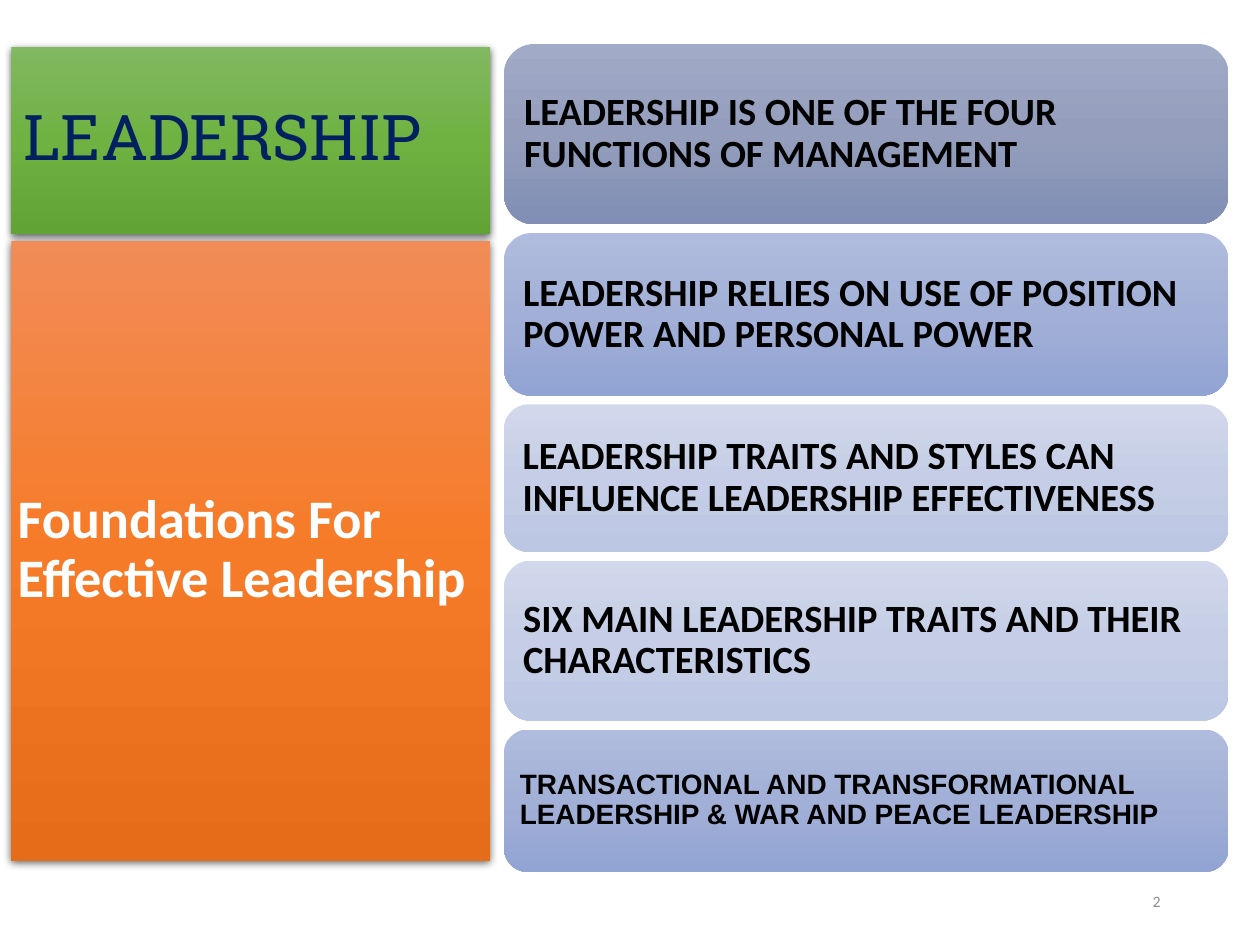
from pptx import Presentation
from pptx.dml.color import RGBColor
from pptx.enum.shapes import MSO_SHAPE
from pptx.enum.text import MSO_ANCHOR, PP_ALIGN
from pptx.oxml import parse_xml
from pptx.oxml.ns import nsdecls
from pptx.util import Inches, Pt

# Content
TITLE = "LEADERSHIP"
THEME = "Foundations For Effective Leadership"
NUMBER = "2"
GREEN = ("81B861", "6FB242", "62A336")
ORANGE = ("F18C57", "F67B28", "E56C19")
SLATE = ("A1AAC7", "949EBC", "818EB5")
BLUE = ("B0BCDD", "A2B0D7", "92A4D4")
PALE = ("D2D8EC", "C5CEE6", "BCC7E4")
# text, height, gradient, font, size, inset
CARDS = [
    ("LEADERSHIP IS ONE OF THE FOUR FUNCTIONS OF MANAGEMENT",
     1.43, SLATE, "Calibri", 22, 0.09),
    ("LEADERSHIP RELIES ON USE OF POSITION POWER AND PERSONAL POWER",
     1.29, BLUE, "Calibri", 22, 0.09),
    ("LEADERSHIP TRAITS AND STYLES CAN INFLUENCE LEADERSHIP EFFECTIVENESS",
     1.17, PALE, "Calibri", 22, 0.09),
    ("SIX MAIN LEADERSHIP TRAITS AND THEIR CHARACTERISTICS",
     1.27, PALE, "Calibri", 22, 0.09),
    ("TRANSACTIONAL AND TRANSFORMATIONAL LEADERSHIP & WAR AND PEACE LEADERSHIP",
     1.13, BLUE, "Arial", 16, 0.07),
]

# Columns, in inches
LEFT, LEFT_W = 0.09, 3.8
RIGHT, RIGHT_W = 4, 5.75
TOP, GAP = 0.35, 0.07

deck = Presentation()
deck.slide_width, deck.slide_height = Inches(10), Inches(7.5)
slide = deck.slides.add_slide(deck.slide_layouts[6])


def color(text):
    return RGBColor.from_string(text)


def write(shape, text, font, size, tint, bold=False, inset=(0.1, 0.05)):
    frame = shape.text_frame
    frame.word_wrap = True
    frame.vertical_anchor = MSO_ANCHOR.MIDDLE
    frame.margin_left = frame.margin_right = Inches(inset[0])
    frame.margin_top = frame.margin_bottom = Inches(inset[1])
    para = frame.paragraphs[0]
    para.text = text
    para.alignment = PP_ALIGN.LEFT
    para.line_spacing = 0.9
    para.font.name, para.font.size = font, Pt(size)
    para.font.bold = bold
    para.font.color.rgb = color(tint)
    return para


def panel(kind, box, stops, shade=False):
    shape = slide.shapes.add_shape(kind, *map(Inches, box))
    shape.line.fill.background()
    shape.shadow.inherit = False
    # Three-stop gradient running downwards
    marks = "".join(
        f'<a:gs pos="{i * 50000}"><a:srgbClr val="{stop}"/></a:gs>'
        for i, stop in enumerate(stops))
    props = shape.element.spPr
    props.find("{*}prstGeom").addnext(parse_xml(
        f'<a:gradFill {nsdecls("a")} rotWithShape="1"><a:gsLst>{marks}</a:gsLst>'
        '<a:lin ang="5400000" scaled="0"/></a:gradFill>'))
    if shade:
        props.find("{*}effectLst").append(parse_xml(
            f'<a:outerShdw {nsdecls("a")} blurRad="{Pt(4.5)}" dist="{Pt(1.5)}" '
            'dir="5400000" algn="ctr" rotWithShape="0"><a:srgbClr val="000000">'
            '<a:alpha val="63000"/></a:srgbClr></a:outerShdw>'))
    return shape


# Left column: title and theme
head = panel(MSO_SHAPE.RECTANGLE, (LEFT, 0.37, LEFT_W, 1.49), GREEN, True)
write(head, TITLE, "Roboto Slab", 36, "002060")
theme = panel(MSO_SHAPE.RECTANGLE, (LEFT, 1.91, LEFT_W, 4.92), ORANGE, True)
write(theme, THEME, "Calibri", 31, "FFFFFF", True, (0.05, 0.05))

# Right column: stacked cards
top = TOP
for text, tall, stops, font, size, inset in CARDS:
    card = panel(MSO_SHAPE.ROUNDED_RECTANGLE, (RIGHT, top, RIGHT_W, tall), stops)
    write(card, text, font, size, "000000", True, (inset, inset))
    top += tall + GAP

# Slide number
box = slide.shapes.add_textbox(*map(Inches, (7.06, 6.95, 2.25, 0.4)))
para = write(box, NUMBER, "Calibri", 9, "8C8C8C")
para.alignment = PP_ALIGN.RIGHT
para.line_spacing = 1.0

deck.save("out.pptx")
